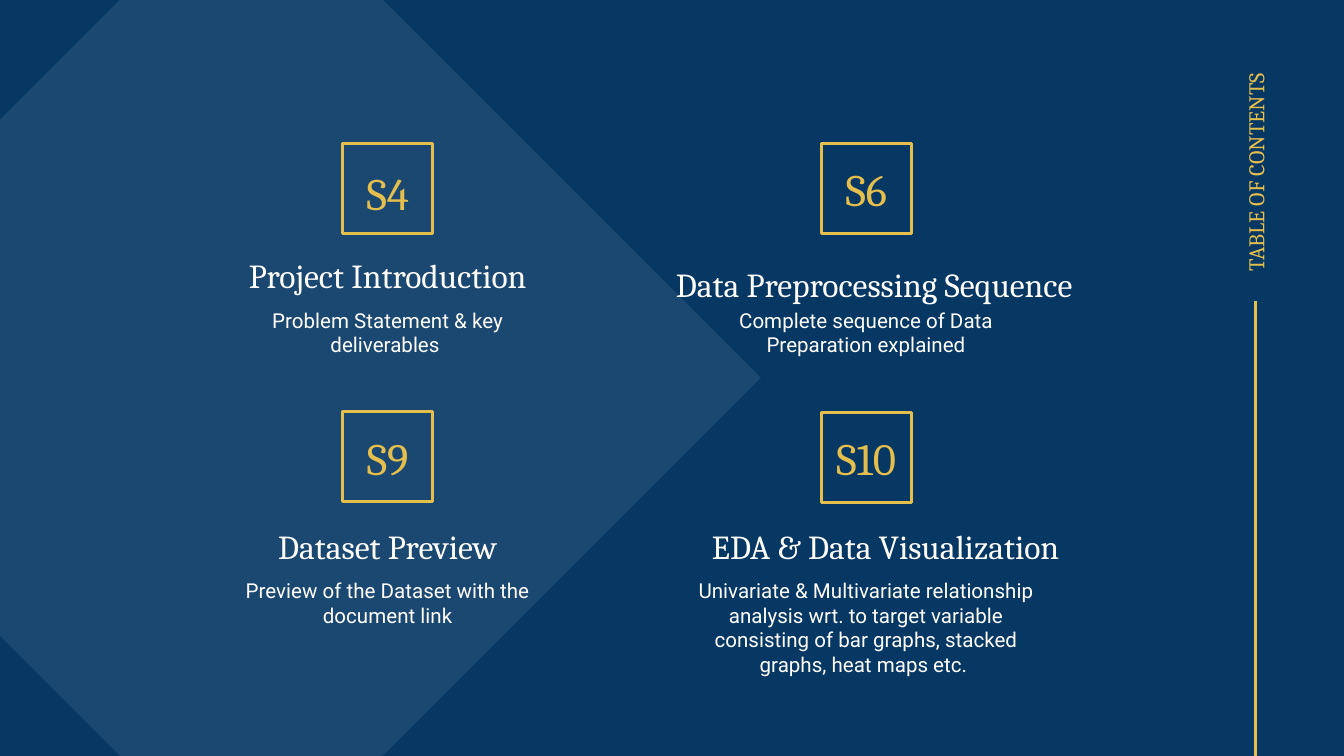
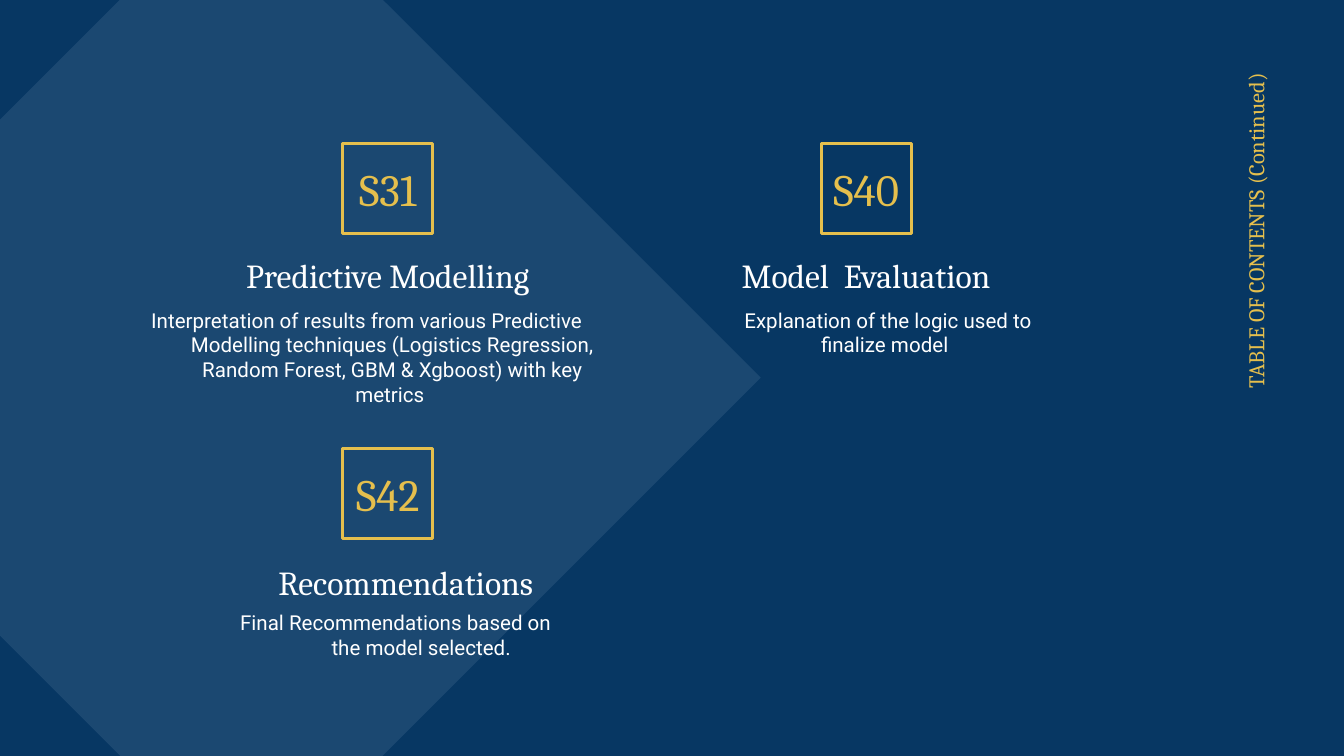
from dataclasses import dataclass

from pptx import Presentation
from pptx.dml.color import RGBColor
from pptx.enum.shapes import MSO_CONNECTOR as LINE, MSO_SHAPE as SHAPE
from pptx.enum.text import MSO_ANCHOR as ANCHOR, MSO_AUTO_SIZE as FIT, PP_ALIGN as ALIGN
from pptx.oxml.ns import qn
from pptx.util import Pt
from lxml.etree import SubElement

PX = 4572
WIDTH, HEIGHT = 2000, 1125
COLORS = {"navy": "073763", "pale": "CFE2F3", "gold": "E5BF4D", "white": "FFFFFF"}
SERIF, SANS = "Cambria", "Roboto"
BADGE = 134
INSET = 20


@dataclass
class Card:
    code: str
    heading: str
    body: str
    left: int
    top: int
    code_dy: int = 23
    heading_box: tuple = (-236, 145, 606, 184)
    body_box: tuple = (-209, 224, 552, 174)
    indent: tuple = (0, 0)
    align: ALIGN = ALIGN.CENTER


def emu(*lengths):
    return [n * PX for n in lengths]


def color(name):
    return RGBColor.from_string(COLORS[name])


def write(sp, text, size, font, fill, align=ALIGN.CENTER, anchor=ANCHOR.TOP, indent=(0, 0)):
    tf = sp.text_frame
    tf.word_wrap = True
    tf.auto_size = FIT.NONE
    tf.vertical_anchor = anchor
    tf.margin_left = tf.margin_top = tf.margin_right = tf.margin_bottom = INSET * PX
    p = tf.paragraphs[0]
    p.alignment = align
    if any(indent):
        pPr = p._p.get_or_add_pPr()
        for key, length in zip(("marL", "indent"), indent):
            pPr.set(key, str(length * PX))
    r = p.add_run()
    r.text = text
    r.font.size = Pt(size)
    r.font.name = font
    r.font.color.rgb = color(fill)


def add_text(s, box, *args, **style):
    write(s.shapes.add_textbox(*emu(*box)), *args, **style)


def add_diamond(s, box):
    sp = s.shapes.add_shape(SHAPE.DIAMOND, *emu(*box))
    sp.shadow.inherit = False
    sp.line.fill.background()
    sp.fill.solid()
    sp.fill.fore_color.rgb = color("pale")
    tint = sp._element.spPr.find(".//" + qn("a:srgbClr"))
    SubElement(tint, qn("a:alpha")).set("val", "10000")


def add_side_title(s, box, text):
    sp = s.shapes.title
    sp.left, sp.top, sp.width, sp.height = emu(*box)
    sp.rotation = 270
    write(sp, text, 12, SERIF, "gold", ALIGN.RIGHT, ANCHOR.MIDDLE)


def add_side_rule(s, x, top, bottom):
    rule = s.shapes.add_connector(LINE.STRAIGHT, *emu(x, top, x, bottom))
    rule.line.color.rgb = color("gold")
    rule.line.width = Pt(1.5)
    SubElement(rule._element.spPr, qn("a:effectLst"))


def add_card(s, card):
    def place(dx, dy, width, height):
        return card.left + dx, card.top + dy, width, height

    sp = s.shapes.add_shape(SHAPE.RECTANGLE, *emu(*place(0, 0, BADGE, BADGE)))
    sp.shadow.inherit = False
    sp.fill.background()
    sp.line.color.rgb = color("gold")
    sp.line.width = Pt(1.5)
    add_text(s, place(-41, card.code_dy, 216, 88), card.code, 24, SERIF, "gold",
             anchor=ANCHOR.MIDDLE)
    add_text(s, place(*card.heading_box), card.heading, 18, SERIF, "white")
    add_text(s, place(*card.body_box), card.body, 11, SANS, "white",
             align=card.align, indent=card.indent)


def add_contents(prs, title, cards):
    s = prs.slides.add_slide(prs.slide_layouts[5])
    s.background.fill.solid()
    s.background.fill.fore_color.rgb = color("navy")
    add_diamond(s, (-384, -196, 1516, 1516))
    add_side_title(s, (1394, 539, 948, 48), title)
    for card in cards:
        add_card(s, card)
    return s


LEFT, RIGHT, TOP = 510, 1222, 214
HANGING = (100, -76)

FIRST_CARDS = [
    Card("S4", "Project Introduction", "Problem Statement & key deliverables ",
         LEFT, TOP, code_dy=29),
    Card("S6", "Data Preprocessing Sequence",
         "Complete sequence of Data Preparation explained", RIGHT, TOP,
         heading_box=(-278, 159, 714, 184)),
    Card("S9", "Dataset Preview", "Preview of the Dataset with the document link",
         LEFT, 612, code_dy=25,
         heading_box=(-236, 150, 606, 184), body_box=(-209, 228, 552, 174)),
    Card("S10", "EDA & Data Visualization",
         "Univariate & Multivariate relationship analysis wrt. to target variable "
         "consisting of bar graphs, stacked graphs, heat maps etc. ",
         RIGHT, 614, code_dy=23,
         heading_box=(-236, 148, 664, 184), body_box=(-209, 226, 552, 174)),
]

CONTINUED_CARDS = [
    Card("S31", "Predictive Modelling",
         "Interpretation of results from various Predictive Modelling techniques "
         "(Logistics Regression, Random Forest, GBM & Xgboost) with key metrics ",
         LEFT, TOP, body_box=(-382, 224, 812, 174), indent=HANGING),
    Card("S40", "Model  Evaluation", "Explanation of the logic used to finalize model",
         RIGHT, TOP, body_box=(-158, 224, 502, 174), indent=(138, -114), align=ALIGN.LEFT),
    Card("S42", "Recommendations", "Final Recommendations based on the model selected.",
         LEFT, 668, heading_box=(-209, 148, 606, 184), body_box=(-209, 220, 552, 174),
         indent=HANGING),
]


def main():
    prs = Presentation()
    prs.slide_width, prs.slide_height = emu(WIDTH, HEIGHT)
    s = add_contents(prs, "TABLE OF CONTENTS", FIRST_CARDS)
    add_side_rule(s, 1868, 448, HEIGHT)
    add_contents(prs, "TABLE OF CONTENTS (Continued)", CONTINUED_CARDS)
    prs.save("out.pptx")


if __name__ == "__main__":
    main()
